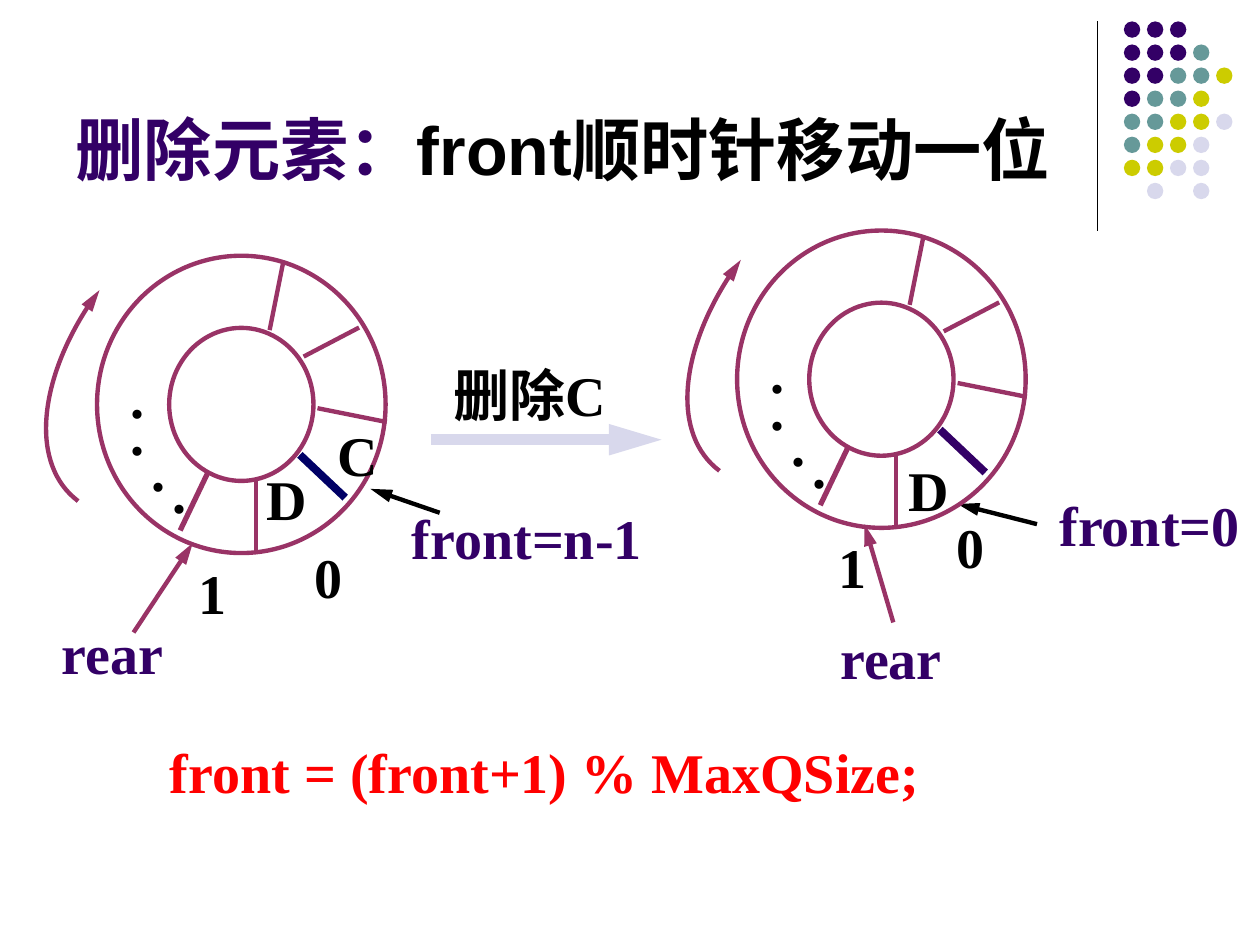
"""Build a slide showing how deletion moves the front of a circular queue."""
from lxml.etree import SubElement
from pptx import Presentation
from pptx.dml.color import RGBColor
from pptx.enum.shapes import MSO_CONNECTOR, MSO_SHAPE
from pptx.enum.text import MSO_ANCHOR, MSO_AUTO_SIZE, PP_ALIGN
from pptx.oxml.ns import qn
from pptx.util import Inches, Pt

COLOURS = {
    "purple": "330066", "teal": "669999", "olive": "CCCC00", "pale": "D8D8EC",
    "plum": "993366", "navy": "000066", "black": "000000", "red": "FF0000",
}
DOT_CODES = {"P": "purple", "T": "teal", "O": "olive", "L": "pale"}
DOT_ROWS = ["PPP", "PPPT", "PPTTO", "PTTO", "TTOOL", "TOOL", "OOLL", " L L"]
RING_WIDTH, RING_HEIGHT = 2.29, 2.36
THIN_SPOKES = [
    (1.75, 1.21, 2.3, 1.32), (1.64, 0.8, 2.08, 0.57),
    (1.26, 1.78, 1.26, 2.36), (1.48, 0.04, 1.37, 0.59),
]
ELLIPSIS_DOTS = [(0.17, 0.8), (0.17, 1.09), (0.33, 1.38), (0.5, 1.55)]


def rgb(name):
    """Return the named colour."""
    return RGBColor.from_string(COLOURS[name])


def add_run(paragraph, text, size, font_name, colour):
    """Add one bold run to a paragraph."""
    run = paragraph.add_run()
    run.text = text
    run.font.size = Pt(size)
    run.font.name = font_name
    run.font.bold = True
    run.font.color.rgb = rgb(colour)


def add_title(slide):
    """Place and fill the title placeholder."""
    title = slide.shapes.title
    title.left, title.top = Inches(0.5), Inches(0.13)
    title.width, title.height = Inches(8.25), Inches(1.42)
    frame = title.text_frame
    frame.auto_size = MSO_AUTO_SIZE.NONE
    frame.vertical_anchor = MSO_ANCHOR.BOTTOM
    paragraph = frame.paragraphs[0]
    paragraph.alignment = PP_ALIGN.LEFT
    add_run(paragraph, "删除元素：", 39, "Arial", "purple")
    add_run(paragraph, "front顺时针移动一位", 39, "Arial", "black")


def add_label(slide, text, left, top, width, colour="black", height=0.64):
    """Add a bold label and return its paragraph."""
    box = slide.shapes.add_textbox(
        Inches(left), Inches(top), Inches(width), Inches(height))
    frame = box.text_frame
    frame.word_wrap = True
    frame.auto_size = MSO_AUTO_SIZE.SHAPE_TO_FIT_TEXT
    paragraph = frame.paragraphs[0]
    add_run(paragraph, text, 32, "Times New Roman", colour)
    return paragraph


def add_arrowhead(shape):
    """Put a long triangle at the end of a line."""
    SubElement(shape.line._get_or_add_ln(), qn("a:tailEnd"),
               type="triangle", w="med", len="lg")


def add_line(slide, start, end, colour="plum", weight=2.5, arrow=False):
    """Add a straight line, with an arrowhead if asked."""
    connector = slide.shapes.add_connector(
        MSO_CONNECTOR.STRAIGHT, *map(Inches, start + end))
    connector.line.color.rgb = rgb(colour)
    connector.line.width = Pt(weight)
    if arrow:
        add_arrowhead(connector)
    SubElement(connector.element.spPr, qn("a:effectLst"))


def add_dot_pattern(slide):
    """Add the corner pattern of coloured dots."""
    for row, codes in enumerate(DOT_ROWS):
        for column, code in enumerate(codes):
            if code == " ":
                continue
            dot = slide.shapes.add_shape(
                MSO_SHAPE.OVAL, Inches(8.92 + column * 0.183),
                Inches(0.17 + row * 0.183), Inches(0.13), Inches(0.13))
            dot.shadow.inherit = False
            dot.fill.solid()
            dot.fill.fore_color.rgb = rgb(DOT_CODES[code])
            dot.line.fill.background()


def outline(shape):
    """Leave a shape unfilled with a plum outline."""
    shape.shadow.inherit = False
    shape.fill.background()
    shape.line.color.rgb = rgb("plum")
    shape.line.width = Pt(2.5)


def add_turn_arrow(slide, left, top):
    """Add the curved arrow that shows the clockwise direction."""
    width, height = 0.87, 1.44
    points = [(left + x * width, top + y * height)
              for x, y in ((1, 1), (0.45, 1), (0, 0.55), (0, 0))]
    start, *rest = [(Inches(x), Inches(y)) for x, y in points]
    builder = slide.shapes.build_freeform(*start)
    builder.add_line_segments(rest, close=False)
    shape = builder.convert_to_shape()
    segments = shape.element.xpath(".//a:lnTo")
    curve = SubElement(segments[0].getparent(), qn("a:cubicBezTo"))
    for segment in segments:
        curve.append(segment[0])
        segment.getparent().remove(segment)
    shape.rotation = 36.9
    outline(shape)
    add_arrowhead(shape)


def add_ring(slide, left, top, front_colour):
    """Add a queue ring with its spokes, ellipsis and first index."""
    ring = slide.shapes.add_shape(
        MSO_SHAPE.DONUT, Inches(left), Inches(top),
        Inches(RING_WIDTH), Inches(RING_HEIGHT))
    ring.adjustments[0] = 0.25
    outline(ring)
    spokes = [(spoke, "plum", 2.5) for spoke in THIN_SPOKES]
    spokes += [((1.61, 1.58, 1.97, 1.92), front_colour, 4.5),
               ((0.88, 1.72, 0.66, 2.18), "plum", 3)]
    for (x1, y1, x2, y2), colour, weight in spokes:
        add_line(slide, (left + x1, top + y1), (left + x2, top + y2),
                 colour, weight)
    for x, y in ELLIPSIS_DOTS:
        add_label(slide, ".", left + x, top + y, 0.39)
    add_label(slide, "1", left + 0.71, top + 2.35, 0.39)


def add_before_state(slide):
    """Draw the queue before the deletion."""
    add_label(slide, "rear", 0.39, 4.86, 1.09, "purple")
    add_label(slide, "0", 2.4, 4.26, 0.4)
    add_line(slide, (1.06, 5.02), (1.53, 4.31), arrow=True)
    add_line(slide, (3.49, 4.07), (2.94, 3.88), "black", arrow=True)
    add_label(slide, "front=n-1", 3.17, 3.95, 2.03, "purple")
    add_ring(slide, 0.77, 2.03, "navy")
    add_label(slide, "C", 2.58, 3.29, 0.44)
    add_turn_arrow(slide, 0.27, 2.42)
    add_label(slide, "D", 2.02, 3.64, 0.58)


def add_after_state(slide):
    """Draw the queue after the deletion."""
    add_line(slide, (8.23, 4.16), (7.6, 4), "black", arrow=True)
    add_label(slide, "rear", 6.57, 4.9, 1.02, "purple")
    add_label(slide, "front=0", 8.31, 3.84, 1.69, "purple")
    add_line(slide, (7.09, 4.94), (6.86, 4.16), arrow=True)
    add_ring(slide, 5.85, 1.83, "purple")
    add_label(slide, "0", 7.49, 4.02, 0.4)
    add_turn_arrow(slide, 5.36, 2.18)
    add_label(slide, "D", 7.11, 3.57, 0.58)


def main():
    """Build and save the presentation."""
    presentation = Presentation()
    presentation.slide_width, presentation.slide_height = Inches(10), Inches(7.5)
    slide = presentation.slides.add_slide(presentation.slide_layouts[5])
    add_line(slide, (8.71, 0.17), (8.71, 1.83), "black", 0.75)
    add_dot_pattern(slide)
    add_title(slide)
    formula = add_label(slide, "front = (front+1) % MaxQSize;",
                        1.25, 5.75, 7.17, "red", 0.69)
    formula.line_spacing = 1.1
    add_before_state(slide)
    add_line(slide, (3.42, 3.49), (5.25, 3.49), "pale", 6, arrow=True)
    add_label(slide, "删除C", 3.5, 2.81, 1.83)
    add_after_state(slide)
    presentation.save("out.pptx")


if __name__ == "__main__":
    main()
